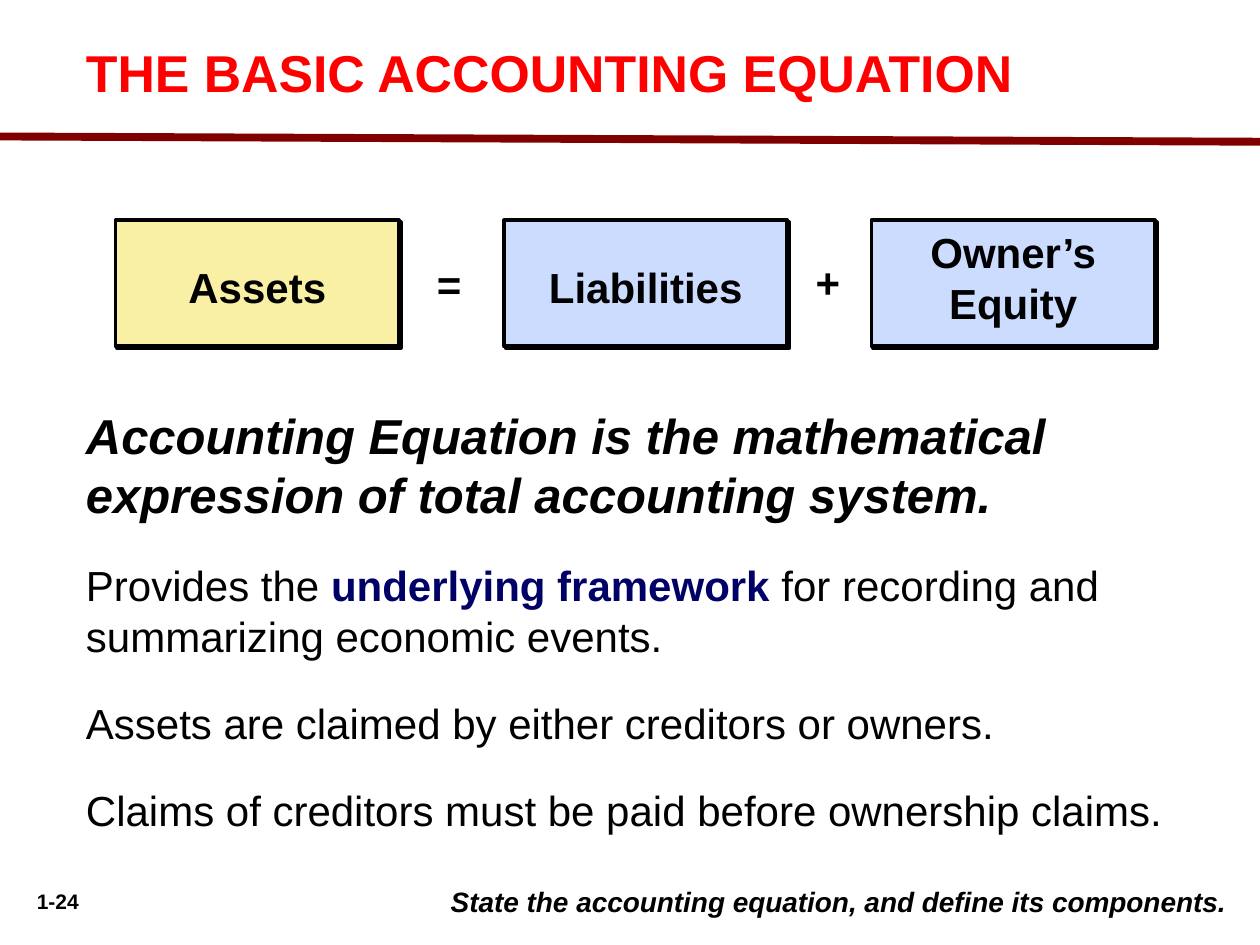
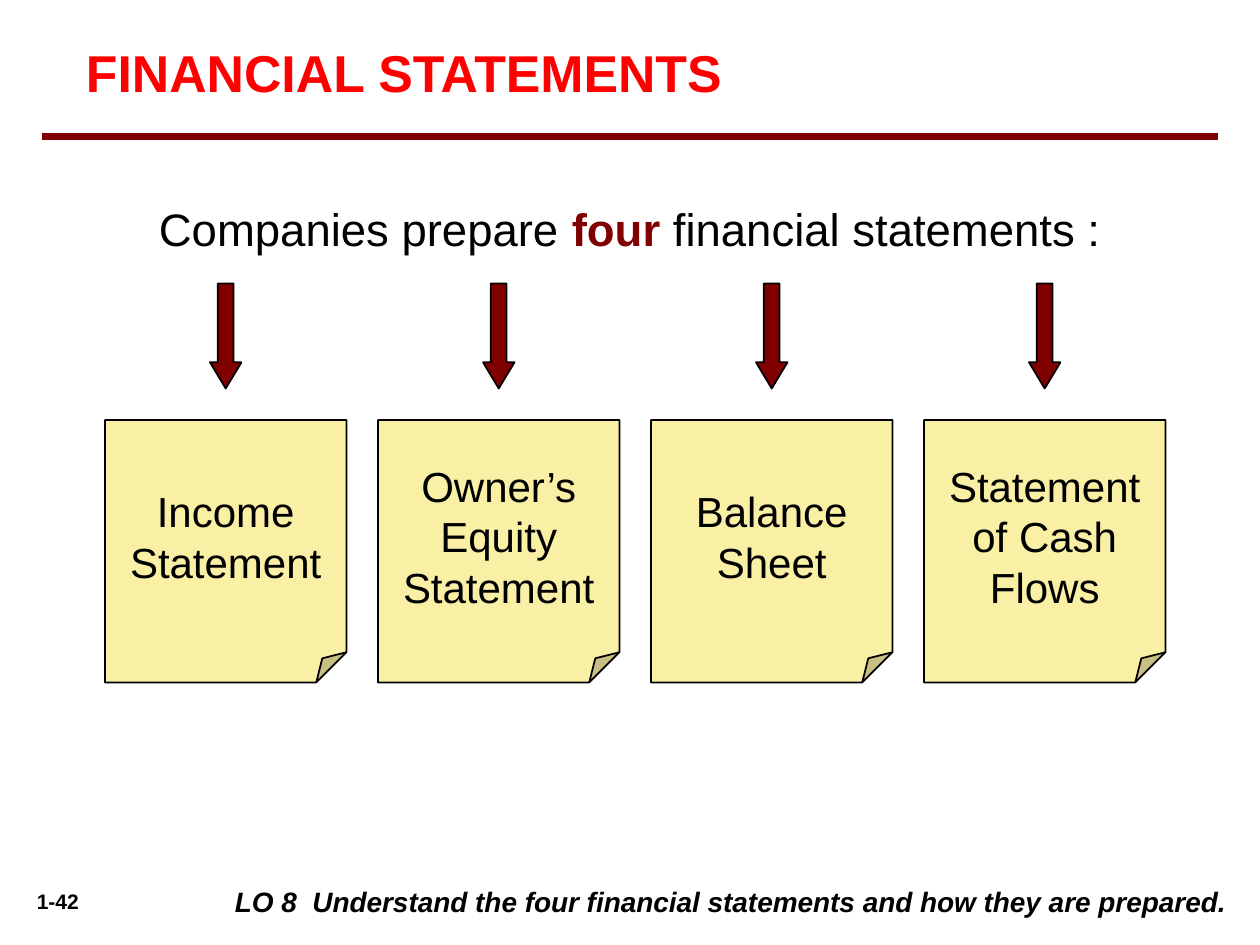
from dataclasses import dataclass

from lxml import etree
from pptx import Presentation
from pptx.dml.color import RGBColor
from pptx.enum.shapes import MSO_CONNECTOR, MSO_SHAPE
from pptx.enum.text import MSO_ANCHOR, PP_ALIGN
from pptx.oxml.ns import qn
from pptx.util import Pt

LEFT, CENTER, RIGHT = PP_ALIGN.LEFT, PP_ALIGN.CENTER, PP_ALIGN.RIGHT
TOP, MIDDLE = MSO_ANCHOR.TOP, MSO_ANCHOR.MIDDLE
RECTANGLE, NOTE, ARROW = MSO_SHAPE.RECTANGLE, MSO_SHAPE.FOLDED_CORNER, MSO_SHAPE.DOWN_ARROW
STRAIGHT = MSO_CONNECTOR.STRAIGHT


@dataclass(frozen=True)
class Theme:
    font: str = "Arial"
    black: str = "000000"
    white: str = "FFFFFF"
    red: str = "FF0000"
    maroon: str = "800000"
    navy: str = "000066"
    yellow: str = "F9EFA5"
    blue: str = "CBDCFF"
    title: float = 29.6
    lead: float = 28
    intro: float = 26
    body: float = 24
    footer: float = 16
    number: float = 12


THEME = Theme()


@dataclass(frozen=True)
class Frame:
    left: float
    top: float
    width: float
    height: float

    def lengths(self) -> tuple:
        return Pt(self.left), Pt(self.top), Pt(self.width), Pt(self.height)


@dataclass(frozen=True)
class Span:
    text: str
    size: float = THEME.body
    color: str = THEME.black
    bold: bool = False
    italic: bool = False
    tracking: float = 0


@dataclass(frozen=True)
class Term:
    name: str
    left: float
    fill: str
    line_spacing: float


@dataclass(frozen=True)
class Operator:
    sign: str
    left: float
    top: float
    align: PP_ALIGN


# Text and shapes
def write_paragraph(para, spans: list[Span], align=LEFT, line_spacing: float = 1,
                    space_before: float = 0) -> None:
    para.alignment = align
    para.line_spacing = line_spacing
    para.space_before = Pt(space_before)
    for span in spans:
        run = para.add_run()
        run.text = span.text
        font = run.font
        font.name, font.size = THEME.font, Pt(span.size)
        font.bold, font.italic = span.bold, span.italic
        font.color.rgb = RGBColor.from_string(span.color)
        if span.tracking:
            run._r.get_or_add_rPr().set("spc", str(round(span.tracking * 100)))


def write_text(shape, paragraphs: list[list[Span]], anchor=TOP, margin: float = 7.2,
               space_between: float = 0, **paragraph_format) -> None:
    text_frame = shape.text_frame
    text_frame.word_wrap = True
    text_frame.vertical_anchor = anchor
    text_frame.margin_left = text_frame.margin_right = Pt(margin)
    text_frame.margin_top = text_frame.margin_bottom = Pt(3.6)
    for index, spans in enumerate(paragraphs):
        para = text_frame.add_paragraph() if index else text_frame.paragraphs[0]
        write_paragraph(para, spans, space_before=space_between if index else 0,
                        **paragraph_format)


def add_text(page, frame: Frame, *paragraphs: list[Span], **text_format) -> None:
    write_text(page.shapes.add_textbox(*frame.lengths()), list(paragraphs), **text_format)


def add_shape(page, kind, frame: Frame, fill: str, line_width: float = 0):
    shape = page.shapes.add_shape(kind, *frame.lengths())
    shape.shadow.inherit = False
    shape.fill.solid()
    shape.fill.fore_color.rgb = RGBColor.from_string(fill)
    if line_width:
        shape.line.color.rgb = RGBColor.from_string(THEME.black)
        shape.line.width = Pt(line_width)
    else:
        shape.line.fill.background()
    return shape


def set_guides(shape, **guides: float) -> None:
    """Set the preset's adjustment guides as fractions of the shorter side."""
    geometry = shape._element.spPr.find(qn("a:prstGeom"))
    for old_list in geometry.findall(qn("a:avLst")):
        geometry.remove(old_list)
    guide_list = etree.SubElement(geometry, qn("a:avLst"))
    for name, value in guides.items():
        etree.SubElement(guide_list, qn("a:gd"), name=name, fmla=f"val {round(value * 100000)}")


def add_hard_shadow(shape) -> None:
    effects = shape._element.spPr.find(qn("a:effectLst"))
    shadow = etree.SubElement(effects, qn("a:outerShdw"), blurRad="0",
                              dist=str(Pt(1.4)), dir="2700000", algn="ctr", rotWithShape="0")
    etree.SubElement(shadow, qn("a:srgbClr"), val=THEME.black)


# Parts that every slide shares
def add_page(deck, number: str):
    blank_layout = deck.slide_layouts[6]
    page = deck.slides.add_slide(blank_layout)
    add_text(page, Frame(6, 504, 54, 21.6), [Span(number, THEME.number, bold=True)],
             align=CENTER)
    return page


def add_footer(page, left: float, spans: list[Span]) -> None:
    right = 708
    footer = add_shape(page, RECTANGLE, Frame(left, 502, right - left, 26.6), THEME.white)
    write_text(footer, [spans], align=RIGHT)


def footer_span(text: str, tracking: float = 0) -> Span:
    return Span(text, THEME.footer, bold=True, italic=True, tracking=tracking)


def add_heading(page, title: str, rule_start: float, rule_end: float, drop: float = 0) -> None:
    rule_top = 78
    rule = page.shapes.add_connector(STRAIGHT, Pt(rule_start), Pt(rule_top),
                                     Pt(rule_end), Pt(rule_top + drop))
    rule.line.color.rgb = RGBColor.from_string(THEME.maroon)
    rule.line.width = Pt(4.5)
    etree.SubElement(rule._element.spPr, qn("a:effectLst"))
    add_text(page, Frame(42, 24, 636, 44), [Span(title, THEME.title, THEME.red, bold=True)],
             line_spacing=0.9)


# Slide: the accounting equation
TERMS = (
    Term("Assets", 66, THEME.yellow, 1.7),
    Term("Liabilities", 288, THEME.blue, 1.7),
    Term("Owner’s Equity", 498, THEME.blue, 1),
)
OPERATORS = (
    Operator("=", 242.6, 144, LEFT),
    Operator("+", 455.8, 143.3, CENTER),
)


def build_equation_page(deck) -> None:
    page = add_page(deck, "1-24")
    add_text(
        page, Frame(42, 228, 636, 264),
        [Span("Accounting Equation is the mathematical expression of total accounting system.",
              THEME.lead, bold=True, italic=True)],
        [Span("Provides the "),
         Span("underlying framework ", color=THEME.navy, bold=True),
         Span("for recording and summarizing economic events.")],
        [Span("Assets are claimed by either creditors or owners.")],
        [Span("Claims of creditors must be paid before ownership claims.")],
        space_between=21,
    )
    for term in TERMS:
        box = add_shape(page, RECTANGLE, Frame(term.left, 126, 162, 72), term.fill, 2.25)
        add_hard_shadow(box)
        write_text(box, [[Span(term.name, bold=True)]], margin=14.4, align=CENTER,
                   line_spacing=term.line_spacing)
    for operator in OPERATORS:
        add_text(page, Frame(operator.left, operator.top, 34.6, 36),
                 [Span(operator.sign, bold=True)], align=operator.align)
    add_footer(page, 186,
               [footer_span("State the accounting equation, and define its components.")])
    add_heading(page, "THE BASIC ACCOUNTING EQUATION", 0, 720, drop=3)


# Slide: the four financial statements
STATEMENTS = ("Income Statement", "Owner’s Equity Statement", "Balance Sheet",
              "Statement of Cash Flows")


def build_statements_page(deck) -> None:
    page = add_page(deck, "1-42")
    add_text(
        page, Frame(54, 111.6, 612, 38.9),
        [Span("Companies prepare ", THEME.intro),
         Span("four", THEME.intro, THEME.maroon, bold=True),
         Span(" financial statements :", THEME.intro)],
        align=CENTER,
    )
    note_width, arrow_width, pitch = 138, 18, 156
    for index, statement in enumerate(STATEMENTS):
        left = 60 + index * pitch
        note = add_shape(page, NOTE, Frame(left, 240, note_width, 150), THEME.yellow, 1)
        set_guides(note, adj=0.125)
        write_text(note, [[Span(statement)]], anchor=MIDDLE, align=CENTER)
        arrow_left = left + (note_width - arrow_width) / 2
        arrow = add_shape(page, ARROW, Frame(arrow_left, 162, arrow_width, 60),
                          THEME.maroon, 1)
        set_guides(arrow, adj1=0.5, adj2=0.83)
    add_footer(page, 84, [
        footer_span("LO 8"),
        footer_span(" ", tracking=4.45),
        footer_span("Understand the four financial statements and how they are prepared."),
    ])
    add_heading(page, "FINANCIAL STATEMENTS", 24, 696)


def main() -> None:
    deck = Presentation()
    deck.slide_width, deck.slide_height = Pt(720), Pt(540)
    build_equation_page(deck)
    build_statements_page(deck)
    deck.save("out.pptx")


if __name__ == "__main__":
    main()
